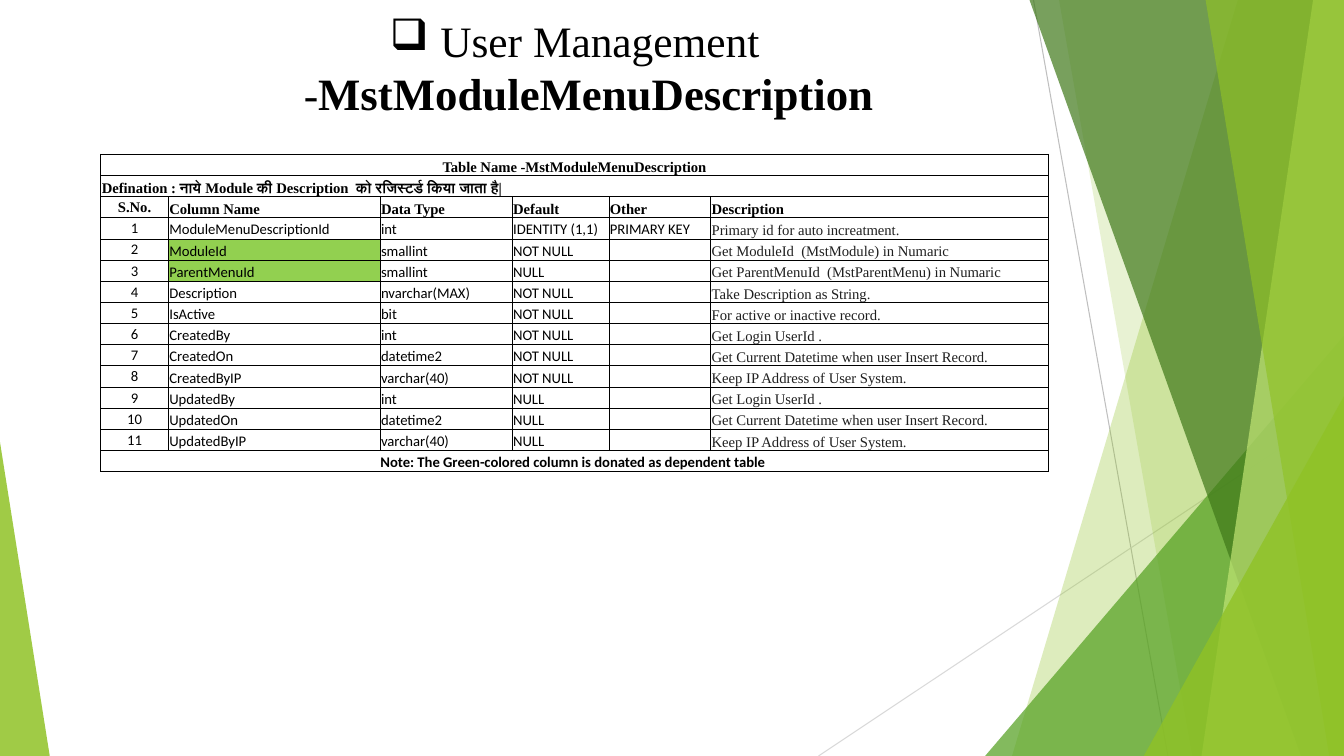
from dataclasses import dataclass

from lxml.etree import SubElement
from pptx import Presentation
from pptx.dml.color import RGBColor
from pptx.enum.shapes import MSO_CONNECTOR, MSO_SHAPE
from pptx.enum.text import MSO_ANCHOR, MSO_AUTO_SIZE, PP_ALIGN
from pptx.oxml import parse_xml
from pptx.oxml.ns import nsdecls, qn
from pptx.slide import Slide
from pptx.table import Table
from pptx.util import Inches, Pt

WIDTH, HEIGHT = Inches(13.33), Inches(7.5)
COLORS = {
    "black": "000000", "ink": "1F1F1F", "highlight": "92D050",
    "lime": "90C226", "green": "54A021", "forest": "3F7819", "pale": "C0E474",
    "gray": "BFBFBF", "light_gray": "D9D9D9",
}
SERIF, SANS = "Times New Roman", "Calibri"


# Positions and lengths are percentages of the slide's width and height.
def across(share: float) -> int:
    return round(WIDTH * share / 100)


def down(share: float) -> int:
    return round(HEIGHT * share / 100)


def rgb(name: str) -> RGBColor:
    return RGBColor.from_string(COLORS[name])


@dataclass
class Ray:
    start: tuple[float, float]
    end: tuple[float, float]
    color: str


@dataclass
class Shard:
    """Four-sided facet that reaches the right edge of the slide."""
    top: float
    bottom: float
    color: str
    opacity: int


@dataclass
class Corner:
    """Triangle standing on the bottom edge, its peak at the left (0) or right (1)."""
    left: float
    top: float
    width: float
    peak: int
    color: str
    opacity: int


@dataclass
class CellStyle:
    font: str = SANS
    color: str = "black"
    bold: bool = False
    align: PP_ALIGN = PP_ALIGN.LEFT
    anchor: MSO_ANCHOR = MSO_ANCHOR.BOTTOM
    fill: str = ""


RAYS = [
    Ray((76.9, 0), (86.9, 100), "gray"),
    Ray((100, 53.7), (60.9, 100), "light_gray"),
]
FACETS = [
    Shard(92.1, 75.3, "lime", 30),
    Shard(78.8, 88.7, "lime", 20),
    Corner(73.3, 44.4, 26.7, 1, "green", 72),
    Shard(76.6, 96.8, "forest", 70),
    Shard(97.7, 89.4, "pale", 70),
    Shard(89.7, 98.9, "lime", 65),
    Corner(85.1, 52.4, 14.9, 1, "lime", 80),
    Corner(0, 58.5, 3.7, 0, "lime", 85),
]

TABLE_LEFT, TABLE_TOP, ROW_HEIGHT = 7.5, 20.4, 2.8
COLUMN_WIDTHS = [5.03, 15.75, 9.83, 7.2, 7.58, 25.13]
CAPTION = "Table Name -MstModuleMenuDescription"
DEFINITION = "Defination : नाये Module की Description  को रजिस्टर्ड किया जाता है|"
NOTE = "Note: The Green-colored column is donated as dependent table "
HEADERS = ["S.No.", "Column Name", "Data Type", "Default", "Other", "Description"]
LOGIN = "Get Login UserId ."
DATETIME = "Get Current Datetime when user Insert Record."
ADDRESS = "Keep IP Address of User System."
FIELDS = [
    ("ModuleMenuDescriptionId", "int", "IDENTITY (1,1)", "PRIMARY KEY",
     "Primary id for auto increatment."),
    ("ModuleId", "smallint", "NOT NULL", "", "Get ModuleId  (MstModule) in Numaric"),
    ("ParentMenuId", "smallint", "NULL", "", "Get ParentMenuId  (MstParentMenu) in Numaric"),
    ("Description", "nvarchar(MAX)", "NOT NULL", "", "Take Description as String."),
    ("IsActive", "bit", "NOT NULL", "", "For active or inactive record."),
    ("CreatedBy", "int", "NOT NULL", "", LOGIN),
    ("CreatedOn", "datetime2", "NOT NULL", "", DATETIME),
    ("CreatedByIP", "varchar(40)", "NOT NULL", "", ADDRESS),
    ("UpdatedBy", "int", "NULL", "", LOGIN),
    ("UpdatedOn", "datetime2", "NULL", "", DATETIME),
    ("UpdatedByIP", "varchar(40)", "NULL", "", ADDRESS),
]
DEPENDENT = {"ModuleId", "ParentMenuId"}


def draw_ray(page: Slide, ray: Ray) -> None:
    (x1, y1), (x2, y2) = ray.start, ray.end
    line = page.shapes.add_connector(
        MSO_CONNECTOR.STRAIGHT, across(x1), down(y1), across(x2), down(y2))
    line.line.color.rgb = rgb(ray.color)
    line.line.width = Pt(0.75)
    SubElement(line._element.spPr, qn("a:effectLst"))


def draw_facet(page: Slide, facet: Shard | Corner) -> None:
    if isinstance(facet, Shard):
        outline = page.shapes.build_freeform(across(facet.top), 0)
        outline.add_line_segments(
            [(WIDTH, 0), (WIDTH, HEIGHT), (across(facet.bottom), HEIGHT)], close=True)
        shape = outline.convert_to_shape()
    else:
        shape = page.shapes.add_shape(
            MSO_SHAPE.ISOSCELES_TRIANGLE, across(facet.left), down(facet.top),
            across(facet.width), down(100 - facet.top))
        shape.adjustments[0] = facet.peak
    shape.shadow.inherit = False
    shape.line.fill.background()
    shape.fill.solid()
    shape.fill.fore_color.rgb = rgb(facet.color)
    tint = shape._element.spPr.find(qn("a:solidFill")).find(qn("a:srgbClr"))
    SubElement(tint, qn("a:alpha"), val=str(facet.opacity * 1000))


def write_title(page: Slide) -> None:
    title = page.shapes.title
    title.left, title.top = across(11.7), down(1.07)
    title.width, title.height = across(62.1), down(15.47)
    frame = title.text_frame
    frame.word_wrap = True
    frame.auto_size = MSO_AUTO_SIZE.NONE
    frame.vertical_anchor = MSO_ANCHOR.MIDDLE
    para = frame.paragraphs[0]
    para.alignment = PP_ALIGN.CENTER
    properties = para._p.get_or_add_pPr()
    properties.set("marL", str(Inches(0.5)))
    properties.set("indent", str(-Inches(0.5)))
    SubElement(properties, qn("a:buChar"), char="❑")
    para.font.name, para.font.size = SERIF, Pt(31)
    para.font.color.rgb = rgb("black")
    para.add_run().text = "User Management -"
    name = para.add_run()
    name.text = "MstModuleMenuDescription"
    name.font.bold, name.font.size = True, Pt(32)
    para.add_run().text = "  "


def fill_cell(table: Table, row: int, column: int, text: str, style: CellStyle) -> None:
    cell = table.cell(row, column)
    cell.margin_left = cell.margin_right = cell.margin_top = Inches(0.01)
    cell.margin_bottom = 0
    cell.vertical_anchor = style.anchor
    if style.fill:
        cell.fill.solid()
        cell.fill.fore_color.rgb = rgb(style.fill)
    else:
        cell.fill.background()
    for index, side in enumerate(("lnL", "lnR", "lnT", "lnB")):
        cell._tc.tcPr.insert(index, parse_xml(
            f'<a:{side} {nsdecls("a")} w="{Pt(0.5)}"><a:solidFill>'
            f'<a:srgbClr val="{COLORS["black"]}"/></a:solidFill></a:{side}>'))
    para = cell.text_frame.paragraphs[0]
    para.alignment = style.align
    para.font.name, para.font.size = style.font, Pt(10.5)
    para.font.bold = style.bold
    para.font.color.rgb = rgb(style.color)
    if text:
        para.add_run().text = text
    else:
        SubElement(para._p, qn("a:endParaRPr"), sz="1050")


def draw_table(page: Slide) -> None:
    heading = CellStyle(SERIF, bold=True)
    centered = CellStyle(SERIF, bold=True, align=PP_ALIGN.CENTER)
    header_number = CellStyle(SERIF, "black", True, PP_ALIGN.CENTER, MSO_ANCHOR.MIDDLE)
    number = CellStyle(align=PP_ALIGN.CENTER, anchor=MSO_ANCHOR.MIDDLE)
    plain, dependent = CellStyle(), CellStyle(fill="highlight")
    remark = CellStyle(SERIF, "ink")
    footer = CellStyle(bold=True, align=PP_ALIGN.CENTER)

    blanks = [""] * (len(HEADERS) - 1)
    rows = [
        ([CAPTION, *blanks], [centered] * 6),
        ([DEFINITION, *blanks], [heading] * 6),
        (HEADERS, [header_number] + [heading] * 5),
    ]
    for position, field in enumerate(FIELDS, start=1):
        name_style = dependent if field[0] in DEPENDENT else plain
        rows.append(([str(position), *field],
                     [number, name_style, plain, plain, plain, remark]))
    rows.append(([NOTE, *blanks], [footer] * 6))

    table = page.shapes.add_table(
        len(rows), len(HEADERS), across(TABLE_LEFT), down(TABLE_TOP),
        across(sum(COLUMN_WIDTHS)), down(ROW_HEIGHT * len(rows))).table
    table.first_row = table.horz_banding = False
    for column, width in zip(table.columns, COLUMN_WIDTHS):
        column.width = across(width)
    for row, (texts, styles) in enumerate(rows):
        table.rows[row].height = down(ROW_HEIGHT)
        for column, (text, style) in enumerate(zip(texts, styles)):
            fill_cell(table, row, column, text, style)
    for row in (0, 1, len(rows) - 1):
        table.cell(row, 0).merge(table.cell(row, len(HEADERS) - 1))


def main() -> None:
    deck = Presentation()
    deck.slide_width, deck.slide_height = WIDTH, HEIGHT
    page = deck.slides.add_slide(deck.slide_layouts[5])
    for ray in RAYS:
        draw_ray(page, ray)
    for facet in FACETS:
        draw_facet(page, facet)
    write_title(page)
    draw_table(page)
    deck.save("out.pptx")


if __name__ == "__main__":
    main()
